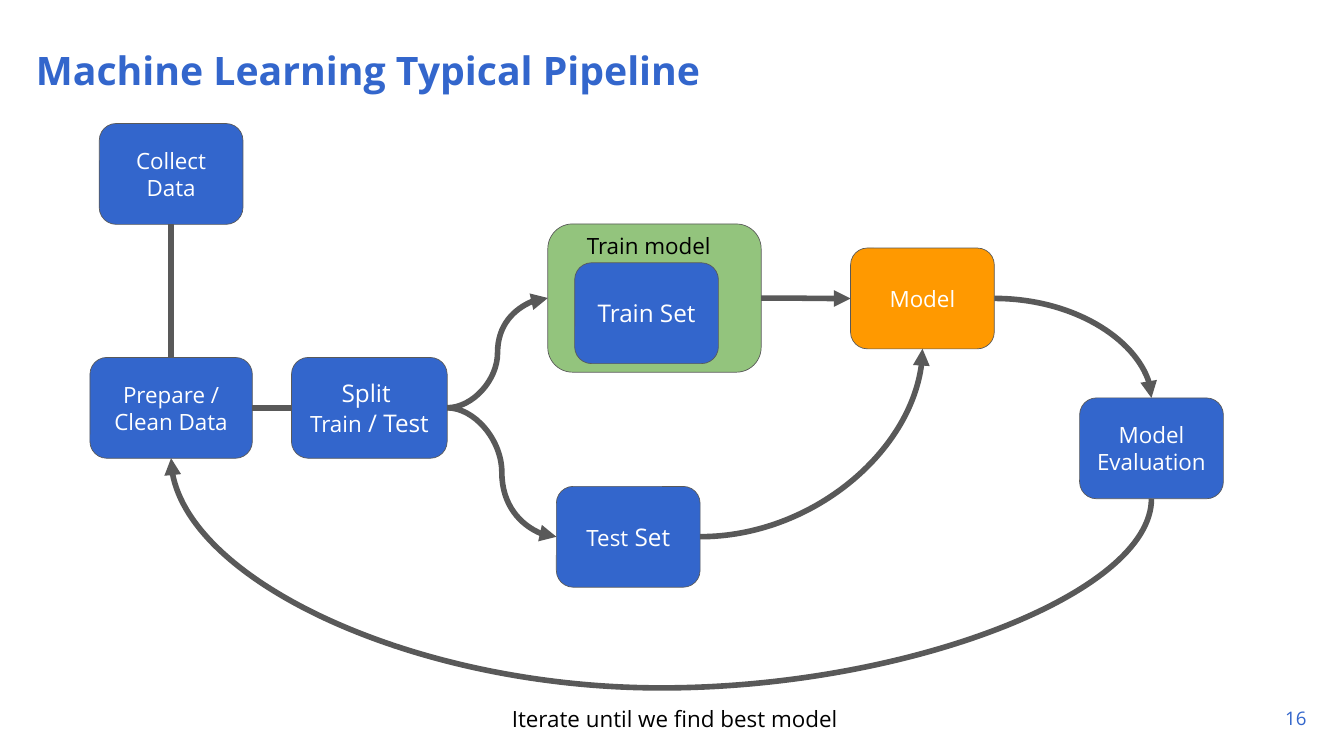
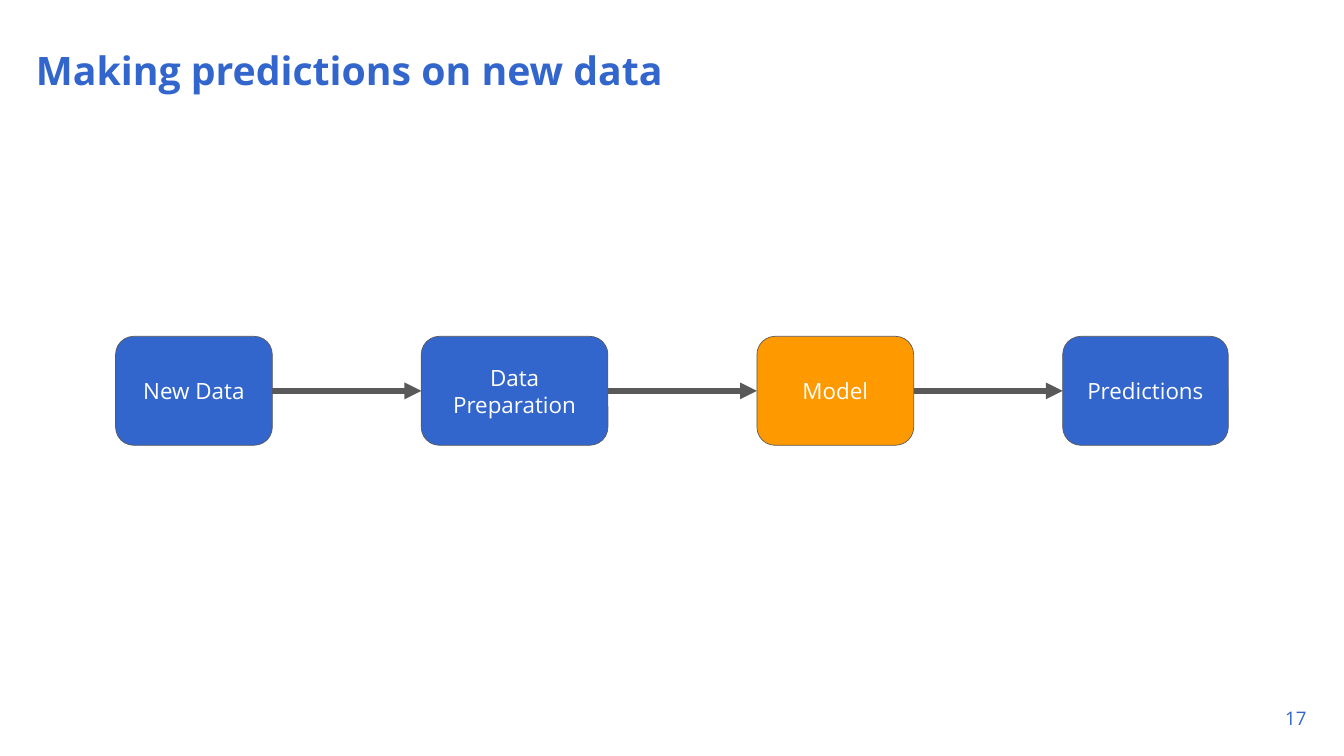
import pptx
import pptx.dml.color
import pptx.enum.shapes
import pptx.enum.text
import pptx.oxml
import pptx.oxml.ns
import pptx.util
from lxml import etree

Pt = pptx.util.Pt
qn = pptx.oxml.ns.qn
ALIGN = pptx.enum.text.PP_ALIGN
ANCHOR = pptx.enum.text.MSO_ANCHOR
SHAPES = pptx.enum.shapes

FONT = "Open Sans"
BLUE, ORANGE, GREEN = "3366CC", "FF9900", "93C47D"
GRAY, WHITE, BLACK = "595959", "FFFFFF", "000000"
TITLE = {"size": Pt(21), "bold": True}
BODY = {"size": Pt(12)}
LARGE = {"size": Pt(13)}
NUMBER = {"size": Pt(10)}
TOP, LEFT, BOTTOM, RIGHT = range(4)  # connection sites of a rounded rectangle
NODE_WIDTH, NODE_HEIGHT = 77, 54


def color(hex_code):
    return pptx.dml.color.RGBColor.from_string(hex_code)


def write(shape, lines, ink, inset, align=ALIGN.LEFT, anchor=ANCHOR.TOP, spacing=None):
    """Fill a shape with lines, each a list of (text, format) spans."""
    frame = shape.text_frame
    settings = {"word_wrap": True, "vertical_anchor": anchor}
    for side in ("left", "top", "right", "bottom"):
        settings["margin_" + side] = Pt(inset)
    for name, value in settings.items():
        setattr(frame, name, value)
    for index, line in enumerate(lines):
        para = frame.add_paragraph() if index else frame.paragraphs[0]
        para.alignment = align
        if spacing:
            para.line_spacing = spacing
        for text, style in line:
            span = para.add_run()
            span.text = text
            for name, value in {"name": FONT, **style}.items():
                setattr(span.font, name, value)
            span.font.color.rgb = color(ink)


def add_text(parent, box, text, style, ink, inset=7.2, **layout):
    shape = parent.shapes.add_textbox(*map(Pt, box))
    write(shape, [[(text, style)]], ink, inset, **layout)


def add_node(parent, box, lines=(), fill=BLUE):
    node = parent.shapes.add_shape(SHAPES.MSO_SHAPE.ROUNDED_RECTANGLE, *map(Pt, box))
    node.shadow.inherit = False
    node.fill.solid()
    node.fill.fore_color.rgb = color(fill)
    node.line.color.rgb = color(GRAY)
    node.line.width = Pt(0.38)
    write(node, lines, WHITE, 3.6, ALIGN.CENTER, ANCHOR.MIDDLE)
    return node


def link(page, start, start_site, end, end_site, arrow=True, bend="curvedConnector3"):
    connector = page.shapes.add_connector(SHAPES.MSO_CONNECTOR.CURVE, 0, 0, 0, 0)
    connector.begin_connect(start, start_site)
    connector.end_connect(end, end_site)
    connector.line.color.rgb = color(GRAY)
    connector.line.width = Pt(3)
    properties = connector.element.spPr
    properties.find(qn("a:prstGeom")).set("prst", bend)
    if arrow:
        etree.SubElement(properties.find(qn("a:ln")), qn("a:tailEnd"), type="triangle")
    etree.SubElement(properties, qn("a:effectLst"))
    return connector


def loop_below(connector, depth):
    """Turn a connector between two bottom edges into a loop reaching depth below its start."""
    center_x = connector.left + connector.width // 2
    center_y = connector.top + connector.height // 2
    width, height = connector.height, connector.width
    frame = {"left": center_x - width // 2, "top": center_y - height // 2,
             "width": width, "height": height}
    for name, value in frame.items():
        setattr(connector, name, value)
    properties = connector.element.spPr
    transform = properties.find(qn("a:xfrm"))
    transform.attrib.pop("flipV", None)
    transform.set("rot", str(90 * 60000))
    transform.set("flipH", "1")
    geometry = properties.find(qn("a:prstGeom"))
    guides = geometry.find(qn("a:avLst"))
    if guides is None:
        guides = etree.SubElement(geometry, qn("a:avLst"))
    ratio = round(-depth / pptx.util.Length(width).pt * 100000)
    etree.SubElement(guides, qn("a:gd"), name="adj1", fmla=f"val {ratio}")


def add_page(deck, title, number):
    page = deck.slides.add_slide(deck.slide_layouts[6])
    page.background.fill.solid()
    page.background.fill.fore_color.rgb = color(WHITE)
    add_text(page, (12.2, 11.5, 388, 47), title, TITLE, BLUE, spacing=1.25)
    add_text(page, (663.8, 376.6, 43.2, 16.6), str(number), NUMBER, BLUE,
             align=ALIGN.RIGHT, anchor=ANCHOR.MIDDLE)
    return page


def add_training_group(page, left, top):
    group = page.shapes.add_group_shape()
    frame = add_node(group, (left, top, 114.3, 79.4), fill=GREEN)
    add_node(group, (left + 14.4, top + 20.8, NODE_WIDTH, NODE_HEIGHT),
             [[("Train Set", LARGE)]])
    add_text(group, (left + 17.3, top + 0.9, NODE_WIDTH, 14.4), "Train model",
             BODY, BLACK, inset=3.6)
    return frame


def add_pipeline(page, left, top):
    def place(x, y, lines, width=NODE_WIDTH, fill=BLUE):
        return add_node(page, (left + x, top + y, width, NODE_HEIGHT), lines, fill)

    collect = place(5, 0, [[("Collect Data", BODY)]])
    prepare = place(0, 125.3, [[("Prepare / Clean Data", BODY)]], 87)
    split = place(108, 125.3, [[("Split ", LARGE)],
                               [("Train", BODY), (" / Test", LARGE)]], 83.4)
    test = place(249.9, 194.4, [[("Test", BODY), (" Set", LARGE)]])
    train = add_training_group(page, left + 245.3, top + 53.8)
    model = place(407.5, 66.7, [[("Model", BODY)]], fill=ORANGE)
    evaluation = place(530.2, 147, [[("Model", BODY)], [("Evaluation", BODY)]])

    link(page, collect, BOTTOM, prepare, TOP, arrow=False)
    link(page, prepare, RIGHT, split, LEFT, arrow=False)
    link(page, split, RIGHT, train, LEFT)
    link(page, split, RIGHT, test, LEFT)
    link(page, train, RIGHT, model, LEFT)
    link(page, test, RIGHT, model, BOTTOM, bend="curvedConnector2")
    link(page, model, RIGHT, evaluation, TOP, bend="curvedConnector2")
    loop_below(link(page, evaluation, BOTTOM, prepare, BOTTOM), 101.3)
    add_text(page, (left + 218.9, top + 304.6, 237, 28.8),
             "Iterate until we find best model", BODY, BLACK)


def add_prediction_row(page, left, top, height=58.4, gap=79.8):
    steps = (("New Data", 84, BLUE), ("Data Preparation", 100, BLUE),
             ("Model", 84, ORANGE), ("Predictions", 88.7, BLUE))
    previous = None
    for text, width, fill in steps:
        node = add_node(page, (left, top, width, height), [[(text, BODY)]], fill)
        if previous:
            link(page, previous, RIGHT, node, LEFT)
        previous = node
        left += width + gap


def main():
    deck = pptx.Presentation()
    deck.slide_width, deck.slide_height = Pt(720), Pt(405)
    add_pipeline(add_page(deck, "Machine Learning Typical Pipeline", 16), 48.2, 66.2)
    add_prediction_row(add_page(deck, "Making predictions on new data", 17), 61.9, 180.2)
    deck.save("out.pptx")


if __name__ == "__main__":
    main()
